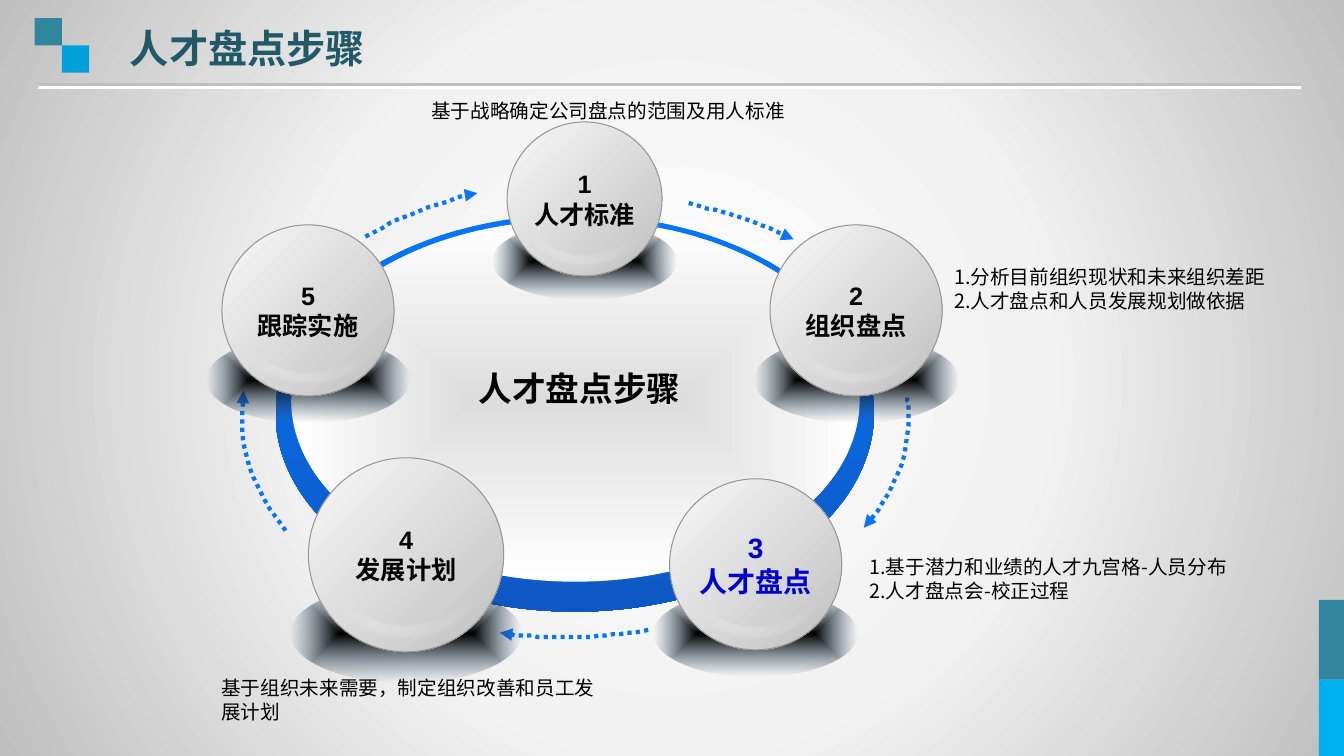
from lxml import etree
from pptx import Presentation
from pptx import util as u
from pptx.dml.color import RGBColor
from pptx.enum import dml, shapes, text
from pptx.oxml import parse_xml
from pptx.oxml.ns import qn

NS = 'xmlns:a="http://schemas.openxmlformats.org/drawingml/2006/main"'
KIND = shapes.MSO_SHAPE
CJK = "Noto Sans CJK SC"
HUE = {
    "white": "FFFFFF", "pale": "F2F2F2", "grey": "BFBFBF", "teal": "31859C",
    "sky": "00B0F0", "azure": "00A1DA", "title": "215968", "black": "000000",
    "blue": "0875F8", "deep": "0E58C4", "core": "DDDDDD", "slate": "445E7A",
    "light": "F8F8F8", "shade": "C0C0C0", "rim": "969696", "focus": "0000CC",
}


class Deck:
    def __init__(self, wide, high):
        self.show = Presentation()
        self.show.slide_width, self.show.slide_height = u.Pt(wide), u.Pt(high)
        self.slide = self.show.slides.add_slide(self.show.slide_layouts[6])
        self.home = self.slide.shapes

    def paint(self, item, fill):
        """A colour name, or (stops, angle or path); a stop is (place, name, alpha)."""
        if fill is None:
            return item.fill.background()
        item.fill.solid()
        if isinstance(fill, str):
            item.fill.fore_color.rgb = RGBColor.from_string(HUE[fill])
            return
        stops, way = fill
        marks = "".join(
            f'<a:gs pos="{at * 1000}"><a:srgbClr val="{HUE[name]}">'
            f'<a:alpha val="{alpha * 1000}"/></a:srgbClr></a:gs>'
            for at, name, alpha in stops)
        if isinstance(way, str):
            form = (f'<a:path path="{way}"><a:fillToRect l="50000" t="50000" '
                    'r="50000" b="50000"/></a:path>')
        else:
            form = f'<a:lin ang="{way * 60000}" scaled="0"/>'
        grad = parse_xml(f'<a:gradFill {NS} rotWithShape="1"><a:gsLst>{marks}'
                         f'</a:gsLst>{form}</a:gradFill>')
        prop = item._element.spPr
        prop.replace(prop.find(qn("a:solidFill")), grad)

    def edge(self, item, hue, width):
        if hue is None:
            return item.line.fill.background()
        item.line.color.rgb = RGBColor.from_string(HUE[hue])
        item.line.width = u.Pt(width)

    def shape(self, kind, box, fill, rim=None, home=None):
        item = (home or self.home).add_shape(kind, *map(u.Pt, box))
        item.shadow.inherit = False
        self.paint(item, fill)
        self.edge(item, rim, 0.75)
        return item

    def words(self, frame, lines, size, hue="black", font=CJK, bold=False,
              align=text.PP_ALIGN.LEFT):
        for i, line in enumerate(lines):
            para = frame.add_paragraph() if i else frame.paragraphs[0]
            para.text, para.alignment = line, align
            para.font.size, para.font.bold = u.Pt(size), bold
            para.font.color.rgb = RGBColor.from_string(HUE[hue])
            para.font.name = font
            east = etree.SubElement(para._p.pPr.find(qn("a:defRPr")), qn("a:ea"))
            east.set("typeface", CJK)

    def label(self, box, lines, size, **style):
        frame = self.home.add_textbox(*map(u.Pt, box)).text_frame
        frame.word_wrap = True
        self.words(frame, lines, size, **style)
        return frame

    def rule(self, x1, y, x2):
        line = self.home.add_connector(
            shapes.MSO_CONNECTOR.STRAIGHT, *map(u.Pt, (x1, y, x2, y)))
        self.edge(line, "grey", 2.25)
        line._element.spPr.append(parse_xml(
            f'<a:effectLst {NS}><a:outerShdw blurRad="0" dist="{u.Pt(2)}" dir="5400000">'
            f'<a:srgbClr val="{HUE["white"]}"/></a:outerShdw></a:effectLst>'))

    def curve(self, knots, steps=12):
        """A dotted arrow along joined cubic curves."""
        dots = []
        for k in range(0, len(knots) - 1, 3):
            for n in range(1, steps + 1):
                t = n / steps
                mix = ((1 - t) ** 3, 3 * t * (1 - t) ** 2, 3 * t * t * (1 - t), t ** 3)
                dots.append([sum(m * p[axis] for m, p in zip(mix, knots[k:k + 4]))
                             for axis in (0, 1)])
        pen = self.home.build_freeform(*knots[0], scale=u.Pt(1))
        pen.add_line_segments(dots, close=False)
        item = pen.convert_to_shape()
        item.shadow.inherit = False
        self.paint(item, None)
        self.edge(item, "blue", 3)
        item.line.dash_style = dml.MSO_LINE.ROUND_DOT
        tail = etree.SubElement(item._element.spPr.find(qn("a:ln")), qn("a:tailEnd"))
        tail.set("type", "triangle")

    def ball(self, x, y, wide, lines, size=18, hue="black"):
        """A shaded ball on its shadow, with faint crescents near its foot."""
        zoom = wide / 123
        home = self.home.add_group_shape().shapes

        def place(dx, dy, w, h):
            return x + dx * zoom, y + dy * zoom, w * zoom, h * zoom

        self.shape(KIND.OVAL, place(-11.2, 80, 145.5, 61.2),
                   ([(0, "black", 100), (100, "slate", 0)], "shape"), home=home)
        globe = self.shape(KIND.OVAL, place(0, 0, 123, 122.2),
                           ([(0, "light", 100), (100, "shade", 100)], 45), "rim", home)
        frame = globe.text_frame
        frame.word_wrap = False
        frame.vertical_anchor = text.MSO_ANCHOR.MIDDLE
        self.words(frame, lines, size, hue, "Arial", True, text.PP_ALIGN.CENTER)
        for dx, dy, w, h, turn in GLOSS:
            moon = self.shape(KIND.MOON, place(dx, dy, w, h), "light", home=home)
            moon.adjustments[0] = 0.5
            moon.rotation = turn + 180
            tint = moon._element.spPr.find(qn("a:solidFill"))[0]
            etree.SubElement(tint, qn("a:alpha")).set("val", "4000")


# Crescents on a ball 123 points wide: left, top, width, height, turn
GLOSS = [
    (75, 67.5, 16, 65, 66.1), (65, 71.5, 16, 65, 79.7),
    (59, 72, 16, 65, 84.6), (52, 72.5, 16, 65, 93.5),
    (56, 72.5, 16, 65, 88.7), (45.5, 72.5, 16, 65, 102.2),
    (39.5, 71.5, 16, 65, 107.2), (31.5, 73.5, 18, 56, 116),
]
ARROWS = [
    [(261.4, 169.2), (284.4, 155.5), (311.8, 144.7), (341.3, 137.5)],
    [(204.5, 379.4), (180, 349.9), (169.9, 316.8), (173.5, 284.4),
     (173.5, 283), (174.2, 281.5), (174.2, 279.4)],
    [(463, 450), (443.5, 453.6), (423.4, 455), (403.2, 455),
     (387.4, 455), (372.2, 454.3), (357.1, 452.2)],
    [(648, 283.7), (648.7, 288), (649.4, 292.3), (649.4, 297.4),
     (649.4, 325.4), (637.9, 352.8), (617, 377.3)],
    [(491.8, 145.4), (519.1, 151.2), (544.3, 159.8), (567.4, 171.4)],
]
NOTES = [
    ((301, 67, 371.5, 24.5), ["基于战略确定公司盘点的范围及用人标准"]),
    ((674.6, 185.8, 270, 41), ["1.分析目前组织现状和未来组织差距",
                               "2.人才盘点和人员发展规划做依据"]),
    ((614, 393, 302.4, 41), ["1.基于潜力和业绩的人才九宫格-人员分布",
                             "2.人才盘点会-校正过程"]),
    ((151, 479.5, 283, 41), ["基于组织未来需要，制定组织改善和员工发展计划"]),
]


def main():
    deck = Deck(960, 540)

    # Backdrop, side bars, header
    deck.shape(KIND.RECTANGLE, (0, 0, 960, 540),
               ([(0, "white", 100), (48, "pale", 100), (100, "grey", 100)], "circle"))
    for box, hue in [((942, 428.5, 18, 57), "teal"), ((942, 485.5, 18, 54.5), "sky"),
                     ((24.7, 13, 19.5, 19.5), "teal"), ((44.2, 32.5, 19.5, 19.5), "azure")]:
        deck.shape(KIND.RECTANGLE, box, hue)
    deck.rule(27.2, 60.5, 929)
    deck.label((85.7, 13.7, 265.7, 41), ["人才盘点步骤"], 28, hue="title", bold=True)

    # Ring with dotted arrows
    for knots in ARROWS:
        deck.curve(knots)
    deck.shape(KIND.OVAL, (196.8, 153.2, 427.5, 283.7),
               ([(0, "blue", 100), (100, "deep", 100)], 90))
    deck.shape(KIND.OVAL, (208, 157, 406, 258.5),
               ([(0, "core", 100), (100, "white", 100)], "shape"))
    frame = deck.label((341.3, 258.5, 145.4, 31.7), ["人才盘点步骤"], 24, font="Arial",
                       bold=True, align=text.PP_ALIGN.CENTER)
    frame.margin_left = frame.margin_right = frame.margin_top = frame.margin_bottom = 0
    frame.word_wrap = False
    frame.vertical_anchor = text.MSO_ANCHOR.MIDDLE
    frame.paragraphs[0].line_spacing = 1.2

    # Steps and notes
    deck.ball(550, 160.6, 123, ["2", "组织盘点"])
    deck.ball(158.5, 160.6, 123, ["5", "跟踪实施"])
    deck.ball(220.3, 327, 139.5, ["4", "发展计划"])
    deck.ball(362.2, 87.1, 110.7, ["1", "人才标准"])
    deck.ball(478.3, 342, 123, ["3", "人才盘点"], 20, "focus")
    for box, lines in NOTES:
        deck.label(box, lines, 14)

    deck.show.save("out.pptx")


if __name__ == "__main__":
    main()
